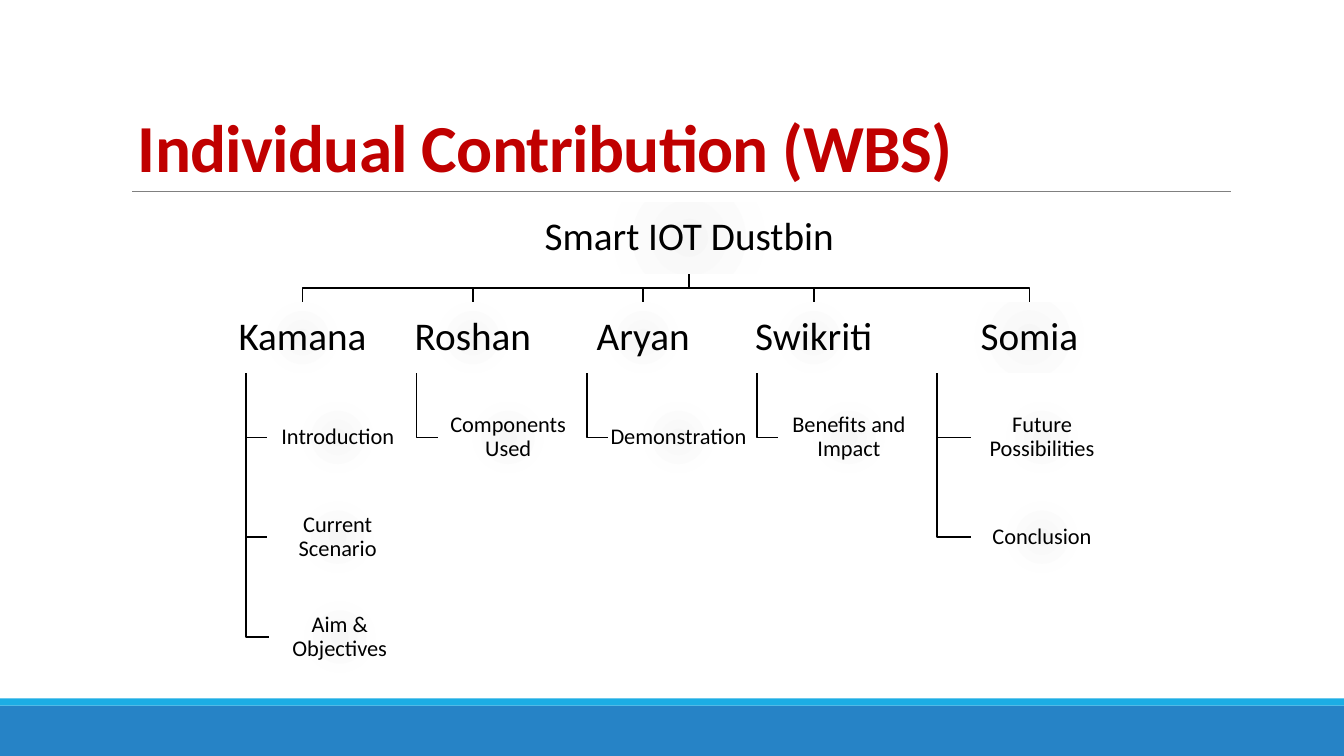
from lxml import etree
from pptx import Presentation
from pptx.dml.color import RGBColor
from pptx.enum.shapes import MSO_CONNECTOR, MSO_SHAPE
from pptx.enum.text import MSO_ANCHOR, PP_ALIGN
from pptx.oxml import parse_xml
from pptx.oxml.ns import nsdecls, qn
from pptx.util import Inches, Pt

RECTANGLE = MSO_SHAPE.RECTANGLE
STRAIGHT = MSO_CONNECTOR.STRAIGHT
MIDDLE, BOTTOM = MSO_ANCHOR.MIDDLE, MSO_ANCHOR.BOTTOM
CENTER, LEFT = PP_ALIGN.CENTER, PP_ALIGN.LEFT

COLORS = {"title": "C00000", "text": "000000", "branch": "000000", "rule": "808080",
          "footer": "2683C6", "stripe": "1CADE4"}
GLOW = ((0, "F6F6F6"), (45, "FEFEFE"), (100, "FFFFFF"))

BOX_WIDTH, BOX_HEIGHT = 1.4, 0.7
COLUMN_LEFT, COLUMN_PITCH = 2.3, 1.69
ROW_TOP, ROW_PITCH = 2.01, 0.99
PROJECT_LEFT, PROJECT_WIDTH = 5.2, 3.27
MEMBERS = (
    ("Kamana", 1.4, ("Introduction", "Current Scenario", "Aim & Objectives")),
    ("Roshan", 1.4, ("Components Used",)),
    ("Aryan", 1.4, ("Demonstration",)),
    ("Swikriti", 1.4, ("Benefits and Impact",)),
    ("Somia", 2.3, ("Future Possibilities", "Conclusion")),
)
NUDGES = {"Aim & Objectives": 0.02}


class WbsSlide:
    """Draws the elements of a work breakdown slide in one style."""

    def __init__(self, slide, font_name, colors):
        self.shapes = slide.shapes
        self.font_name = font_name
        self.colors = colors

    def color(self, name):
        return RGBColor.from_string(self.colors[name])

    def label(self, shape, text, size, color, align, anchor, spacing):
        frame = shape.text_frame
        frame.word_wrap = True
        frame.vertical_anchor = anchor
        paragraph = frame.paragraphs[0]
        paragraph.text = text
        paragraph.alignment = align
        paragraph.line_spacing = spacing
        paragraph.font.name = self.font_name
        paragraph.font.size = Pt(size)
        paragraph.font.color.rgb = self.color(color)
        return paragraph

    def title(self, left, top, width, height, text):
        heading = self.shapes.add_textbox(Inches(left), Inches(top), Inches(width), Inches(height))
        paragraph = self.label(heading, text, 48, "title", LEFT, BOTTOM, 0.85)
        paragraph.font.bold = True
        paragraph.runs[0]._r.get_or_add_rPr().set("spc", "-50")

    def rectangle(self, left, top, width, height):
        shape = self.shapes.add_shape(RECTANGLE, Inches(left), Inches(top),
                                      Inches(width), Inches(height))
        shape.shadow.inherit = False
        shape.line.fill.background()
        return shape

    def band(self, top, height, color):
        band = self.rectangle(0, top, 13.33, height)
        band.fill.solid()
        band.fill.fore_color.rgb = self.color(color)

    def rule(self, left, right, y):
        rule = self.shapes.add_connector(STRAIGHT, Inches(left), Inches(y), Inches(right), Inches(y))
        rule.line.color.rgb = self.color("rule")
        rule.line.width = Pt(0.5)
        etree.SubElement(rule._element.spPr, qn("a:effectLst"))

    def branch(self, *points):
        start, *rest = [(Inches(x), Inches(y)) for x, y in points]
        builder = self.shapes.build_freeform(*start)
        builder.add_line_segments(rest, close=False)
        branch = builder.convert_to_shape()
        branch.shadow.inherit = False
        branch.fill.background()
        branch.line.color.rgb = self.color("branch")
        branch.line.width = Pt(1.25)

    def box(self, left, top, width, text, size, inset):
        box = self.rectangle(left, top, width, BOX_HEIGHT)
        box.fill.background()
        stops = "".join(f'<a:gs pos="{place * 1000}"><a:srgbClr val="{shade}"/></a:gs>'
                        for place, shade in GLOW)
        glow = parse_xml(
            f'<a:gradFill {nsdecls("a")} rotWithShape="1"><a:gsLst>{stops}</a:gsLst>'
            '<a:path path="circle"><a:fillToRect l="100000" t="100000" r="100000" b="100000"/>'
            '</a:path></a:gradFill>')
        properties = box._element.spPr
        properties.replace(properties.find(qn("a:noFill")), glow)
        frame = box.text_frame
        frame.margin_left = frame.margin_right = Inches(inset)
        frame.margin_top = frame.margin_bottom = Inches(inset)
        self.label(box, text, size, "text", CENTER, MIDDLE, 0.9)


def row_top(row):
    return ROW_TOP + row * ROW_PITCH


def task_place(member_left, member_width, index, task):
    return member_left + member_width / 4 + NUDGES.get(task, 0), row_top(index + 2)


def main():
    presentation = Presentation()
    presentation.slide_width = Inches(13.33)
    presentation.slide_height = Inches(7.5)
    slide = presentation.slides.add_slide(presentation.slide_layouts[6])
    wbs = WbsSlide(slide, "Calibri", COLORS)

    wbs.band(7, 0.5, "footer")
    wbs.band(6.93, 0.07, "stripe")
    wbs.rule(1.31, 12.21, 1.9)
    wbs.title(1.27, 0.95, 10.9, 0.95, "Individual Contribution (WBS)")

    project_center = PROJECT_LEFT + PROJECT_WIDTH / 2
    project_bottom = row_top(0) + BOX_HEIGHT
    member_top = row_top(1)
    member_bottom = member_top + BOX_HEIGHT
    bus = (project_bottom + member_top) / 2
    columns = [(COLUMN_LEFT + index * COLUMN_PITCH, *member)
               for index, member in enumerate(MEMBERS)]

    for left, name, width, tasks in columns:
        center, spine = left + width / 2, left + width / 10
        wbs.branch((project_center, project_bottom), (project_center, bus),
                   (center, bus), (center, member_top))
        for index, task in enumerate(tasks):
            task_left, task_top = task_place(left, width, index, task)
            middle = task_top + BOX_HEIGHT / 2
            wbs.branch((spine, member_bottom), (spine, middle), (task_left, middle))

    wbs.box(PROJECT_LEFT, row_top(0), PROJECT_WIDTH, "Smart IOT Dustbin", 28, 0.02)
    for left, name, width, tasks in columns:
        wbs.box(left, member_top, width, name, 28, 0.02)
        for index, task in enumerate(tasks):
            wbs.box(*task_place(left, width, index, task), BOX_WIDTH, task, 16, 0.01)

    presentation.save("out.pptx")


if __name__ == "__main__":
    main()
